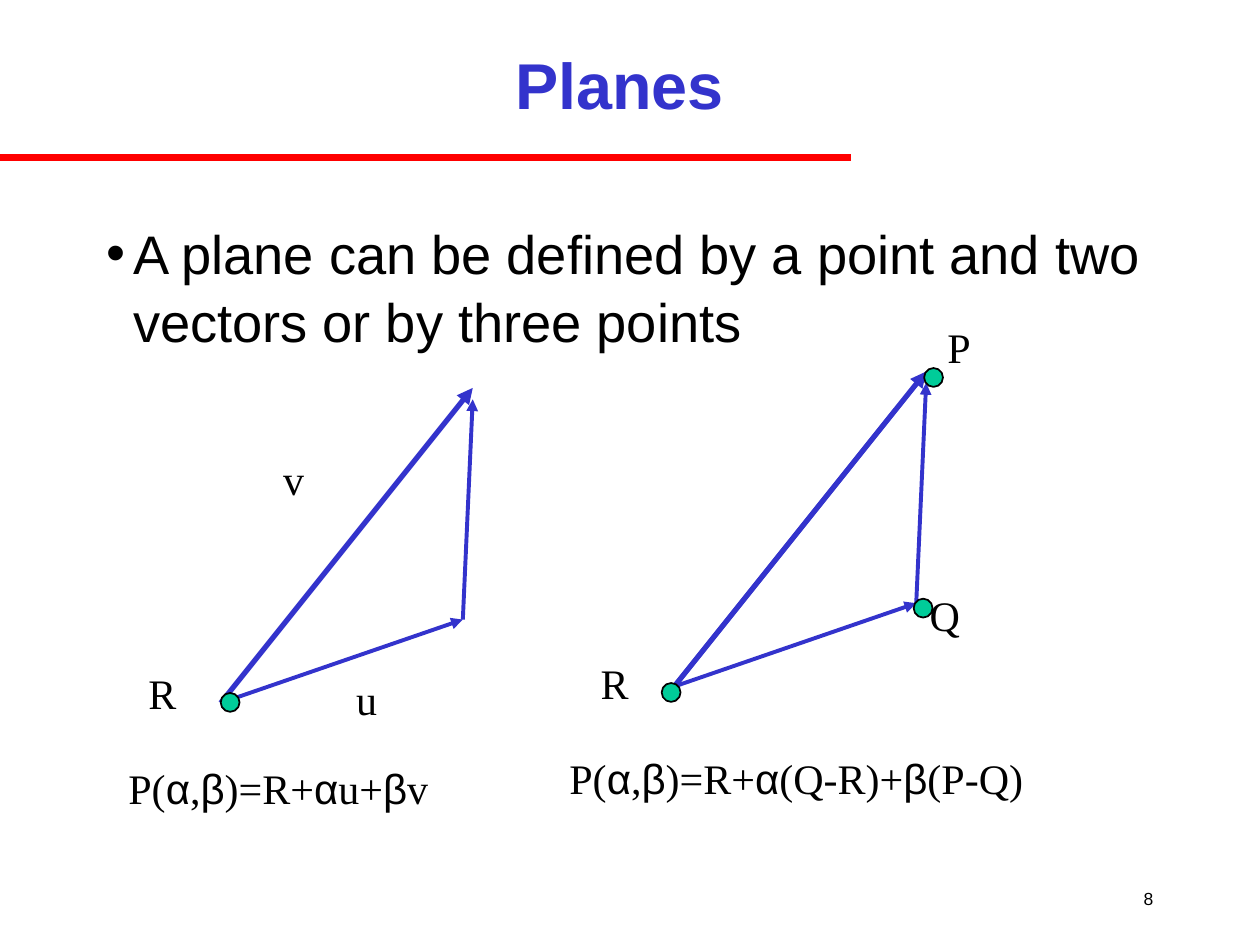
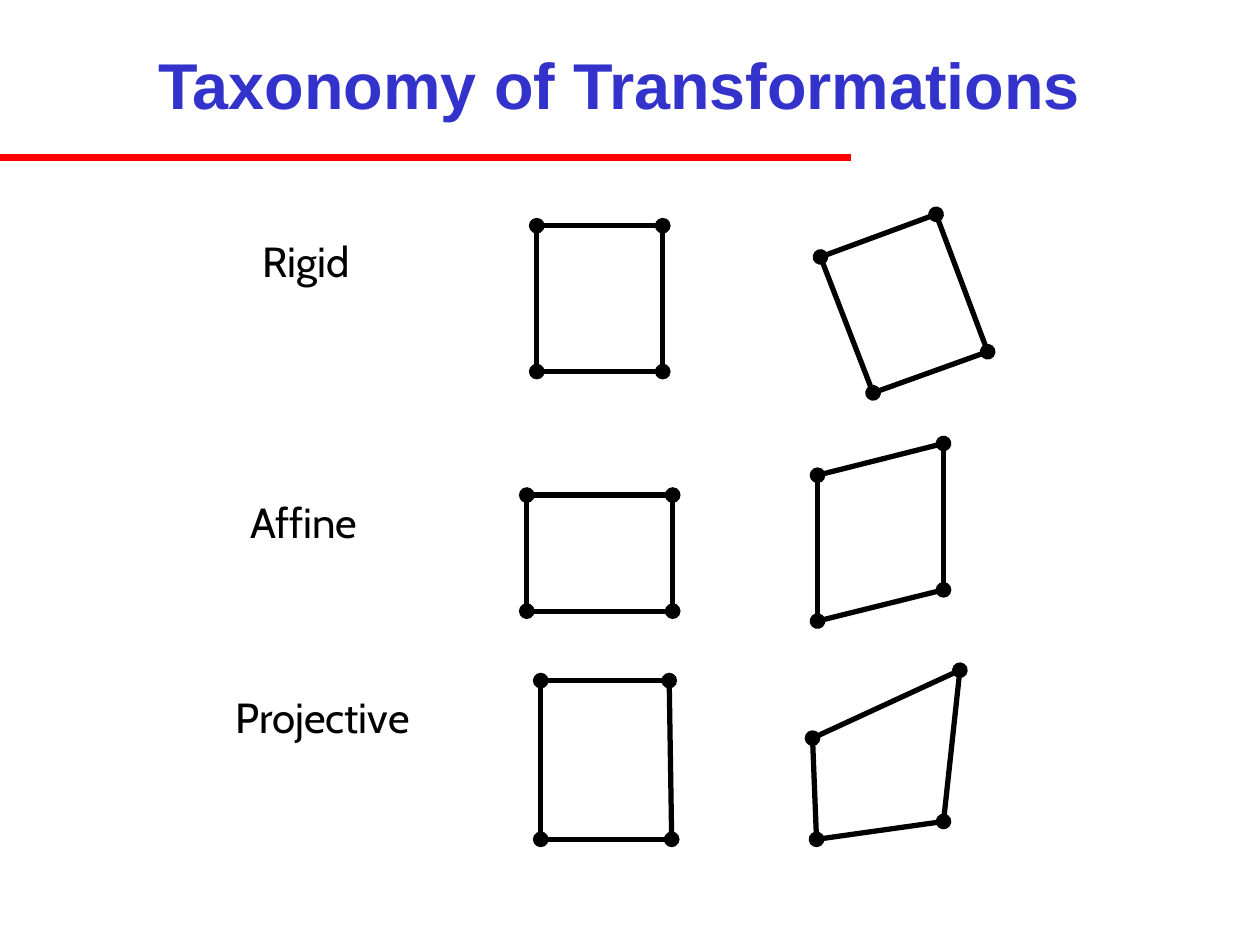
from dataclasses import dataclass
from itertools import groupby

from pptx import Presentation
from pptx.dml.color import RGBColor as RGB
from pptx.enum.shapes import MSO_CONNECTOR as CONN, MSO_SHAPE as SHAPE
from pptx.enum.text import MSO_ANCHOR as ANCHOR, MSO_AUTO_SIZE as AUTO, PP_ALIGN as ALIGN
from pptx.oxml.ns import qn
from pptx.oxml.xmlchemy import OxmlElement
from pptx.util import Cm, Pt


@dataclass(frozen=True)
class Theme:
    blue: RGB = RGB(0x33, 0x33, 0xCC)
    red: RGB = RGB(0xFF, 0, 0)
    green: RGB = RGB(0, 0xCC, 0x99)
    black: RGB = RGB(0, 0, 0)
    sans: str = "Arial"
    serif: str = "Times New Roman"
    label: str = "Cabin"
    title_size: int = 37
    body_size: int = 31
    label_size: int = 24
    number_size: int = 10


T = Theme()
WIDTH, HEIGHT = 25.4, 19.05
TITLE_BOX = (0, 0.2, 24.97, 2.97)
BODY_BOX = (1.9, 4.24, 21.6, 13.13)
RULE = ((0, 3.18), (17.15, 3.18))
LABEL_HEIGHT = 1.27
DOT = 0.38

PLANES = {
    "title": "Planes",
    "body": "A plane can be defined by a point and two vectors or by three points",
    "number": ("8", (22.43, 17.58, 1.07, 1.07)),
}
TRIANGLE_ORIGINS = [(4.45, 14.17), (13.59, 13.84)]
TRIANGLE_ARROWS = [
    ((0, 0), (5.08, -6.35), 3),
    ((0, 0), (4.88, -1.68), 2.25),
    ((4.88, -1.68), (5.08, -6.12), 2.25),
]
POINTS = [(4.45, 13.97), (13.34, 13.77), (18.42, 12.07), (18.63, 7.42)]
PLANE_LABELS = [
    ("P(α,β)=R+αu+βv", 2.34, 15.24, 6.6),
    ("P(α,β)=R+α(Q-R)+β(P-Q)", 11.23, 15.04, 9.7),
    ("u", 6.93, 13.46, 0.94),
    ("v", 5.46, 9.02, 0.94),
    ("R", 2.74, 13.34, 1.07),
    ("P", 18.85, 6.35, 0.99),
    ("R", 11.86, 13.13, 1.07),
    ("Q", 18.49, 11.76, 1.12),
]

TAXONOMY_TITLE = "Taxonomy of Transformations"
TRANSFORMATIONS = [
    (("Rigid", 5.05, 4.62, 2.62),
     [(10.82, 4.55), (10.82, 7.49), (13.36, 7.49), (13.36, 4.55)],
     [(16.54, 5.18), (17.6, 7.92), (19.91, 7.09), (18.87, 4.32)]),
    (("Affine", 4.8, 9.88, 2.92),
     [(10.62, 9.98), (10.62, 12.32), (13.56, 12.32), (13.56, 9.98)],
     [(16.48, 9.58), (16.48, 12.52), (19.02, 11.89), (19.02, 8.94)]),
    (("Projective", 4.5, 13.82, 4.42),
     [(10.9, 13.72), (10.9, 16.92), (13.54, 16.92), (13.49, 13.72)],
     [(16.38, 14.88), (16.46, 16.92), (19.02, 16.56), (19.35, 13.51)]),
]


def cm(values):
    return [Cm(v) for v in values]


def add_run(p, text, font, size, color=T.black, bold=False):
    r = p.add_run()
    r.text = text
    r.font.name, r.font.size, r.font.bold = font, Pt(size), bold
    r.font.color.rgb = color


def fill_placeholder(sp, box, text, size, color, bold=False):
    sp.left, sp.top, sp.width, sp.height = cm(box)
    sp.text_frame.auto_size = AUTO.NONE
    p = sp.text_frame.paragraphs[0]
    add_run(p, text, T.sans, size, color, bold)
    return p


def add_slide(prs, layout, title):
    s = prs.slides.add_slide(prs.slide_layouts.get_by_name(layout))
    p = fill_placeholder(s.shapes.title, TITLE_BOX, title, T.title_size, T.blue, True)
    p.alignment = ALIGN.CENTER
    return s


def add_line(s, start, end, color, width, head=None, tail=None):
    c = s.shapes.add_connector(CONN.STRAIGHT, *cm(start + end))
    c.line.color.rgb, c.line.width = color, Pt(width)
    ln = c.element.spPr.find(qn("a:ln"))
    for tag, kind in (("a:headEnd", head), ("a:tailEnd", tail)):
        if kind:
            tip = OxmlElement(tag)
            tip.set("type", kind)
            ln.append(tip)
    c.element.spPr.append(OxmlElement("a:effectLst"))
    return c


def add_label(s, text, x, y, w, font):
    tf = s.shapes.add_textbox(*cm((x, y, w, LABEL_HEIGHT))).text_frame
    tf.word_wrap, tf.auto_size = False, AUTO.SHAPE_TO_FIT_TEXT
    for greek, chars in groupby(text, lambda ch: ch in "αβ"):
        add_run(tf.paragraphs[0], "".join(chars), T.sans if greek else font, T.label_size)


def add_point(s, x, y):
    sp = s.shapes.add_shape(SHAPE.OVAL, *cm((x, y, DOT, DOT)))
    sp.shadow.inherit = False
    sp.fill.solid()
    sp.fill.fore_color.rgb = T.green
    sp.line.color.rgb, sp.line.width = T.black, Pt(1)


def add_quad(s, corners):
    for start, end in zip(corners, corners[1:] + corners[:1]):
        add_line(s, start, end, T.black, 3, head="oval")


def add_number(s, text, box):
    tf = s.shapes.add_textbox(*cm(box)).text_frame
    tf.word_wrap, tf.vertical_anchor = False, ANCHOR.MIDDLE
    p = tf.paragraphs[0]
    p.alignment = ALIGN.RIGHT
    add_run(p, text, T.sans, T.number_size)


def build_planes(prs):
    s = add_slide(prs, "Title and Content", PLANES["title"])
    p = fill_placeholder(s.placeholders[1], BODY_BOX, PLANES["body"], T.body_size, T.black)
    p.line_spacing = 1.05
    pPr = p._p.get_or_add_pPr()
    pPr.set("marL", str(Cm(0.53)))
    pPr.set("indent", str(Cm(-0.53)))
    add_number(s, *PLANES["number"])
    for ox, oy in TRIANGLE_ORIGINS:
        for (x1, y1), (x2, y2), width in TRIANGLE_ARROWS:
            add_line(s, (ox + x1, oy + y1), (ox + x2, oy + y2), T.blue, width, tail="triangle")
    for label in PLANE_LABELS:
        add_label(s, *label, T.serif)
    for point in POINTS:
        add_point(s, *point)
    return s


def build_taxonomy(prs):
    s = add_slide(prs, "Title Only", TAXONOMY_TITLE)
    for label, before, after in TRANSFORMATIONS:
        add_label(s, *label, T.label)
        add_quad(s, before)
        add_quad(s, after)


def main():
    prs = Presentation()
    prs.slide_width, prs.slide_height = cm((WIDTH, HEIGHT))
    s = build_planes(prs)
    rule = add_line(s, *RULE, T.red, 4)
    prs.slide_master.element.cSld.spTree.append(rule.element)
    build_taxonomy(prs)
    prs.save("out.pptx")


if __name__ == "__main__":
    main()
